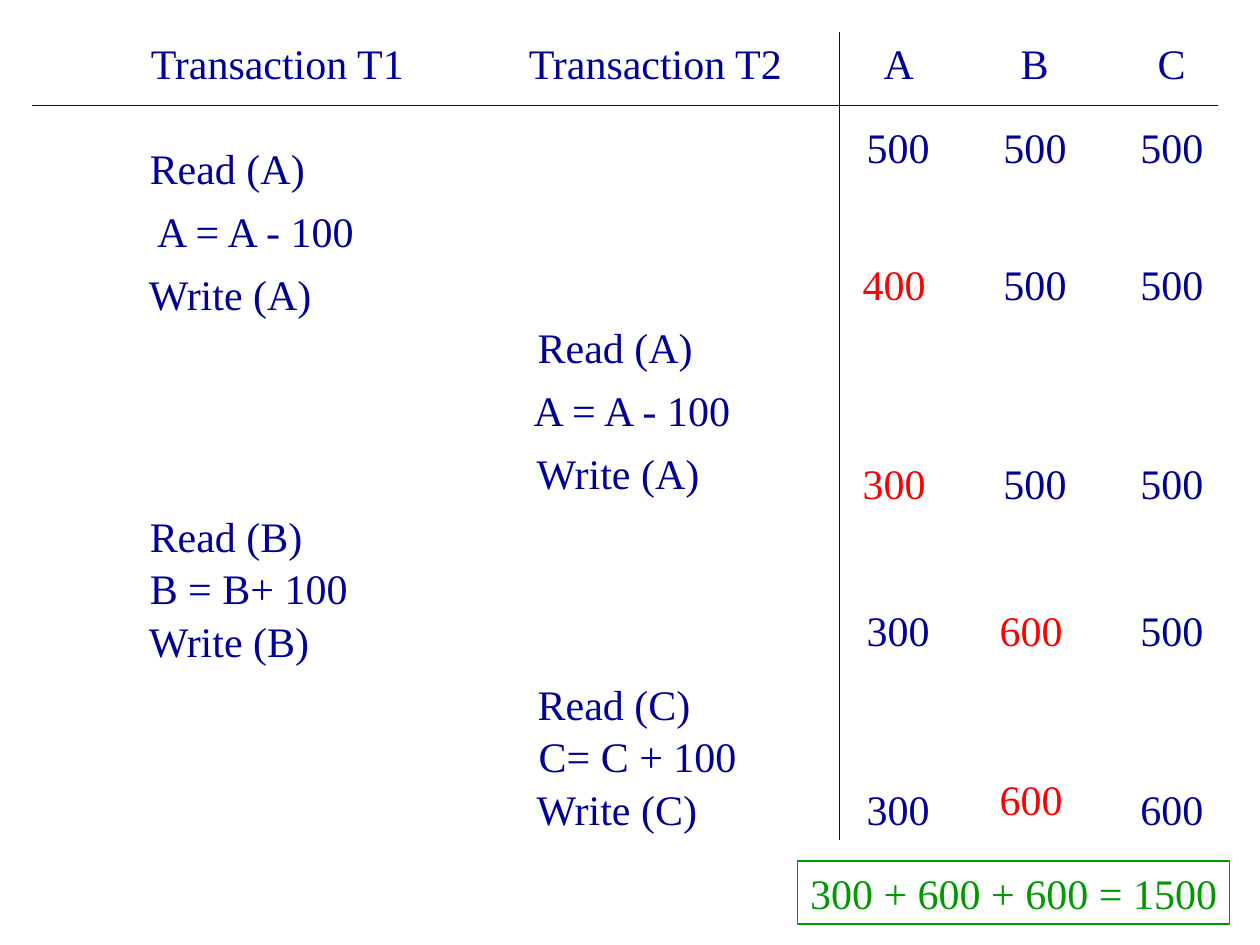
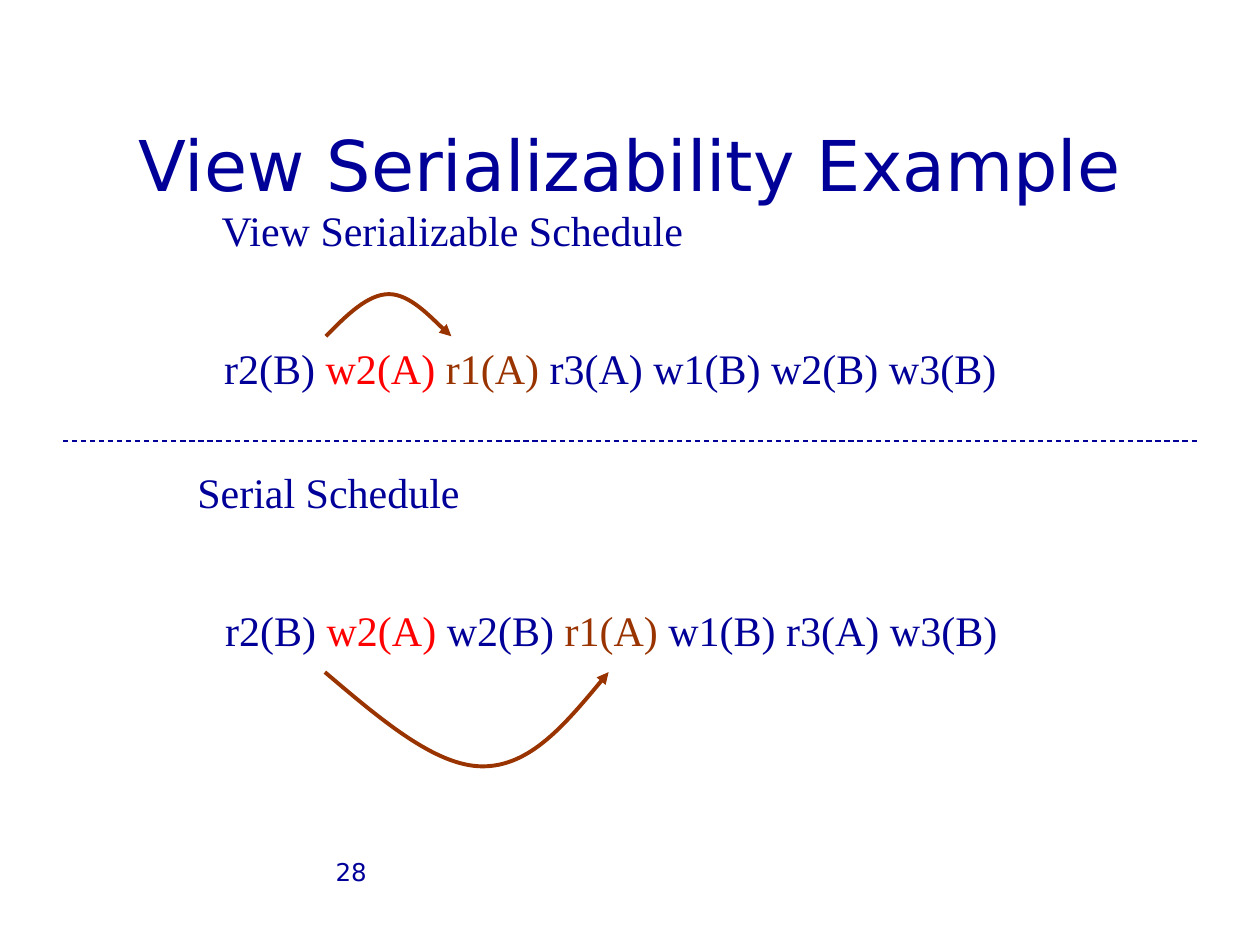
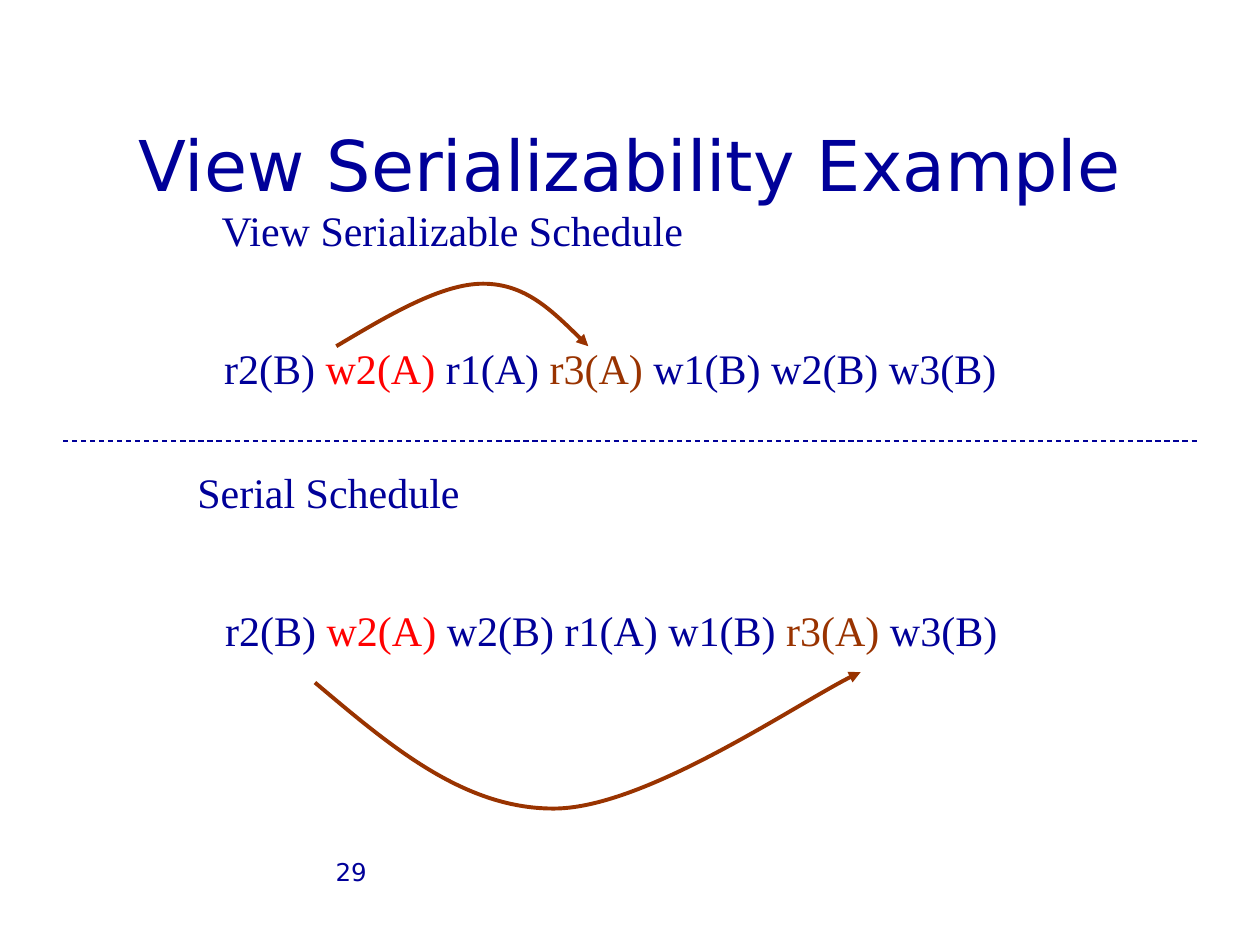
from collections import namedtuple
from pptx import Presentation
from pptx.dml.color import RGBColor
from pptx.enum.dml import MSO_LINE
from pptx.enum.shapes import MSO_CONNECTOR, MSO_SHAPE
from pptx.enum.text import MSO_ANCHOR, MSO_AUTO_SIZE, PP_ALIGN
from pptx.oxml.ns import qn
from pptx.util import Cm, Pt
from lxml.etree import SubElement

Box = namedtuple("Box", "left top width height")

NAVY, RED, BROWN, GREEN = "000099", "FF0000", "993300", "009900"
SERIF, SANS = "Times New Roman", "DejaVu Sans"
LINE_HEIGHT = 1.27
TITLE_BOX = Box(1.9, 1.7, 21.59, 3.18)
NUMBER_BOX = Box(1.9, 17.15, 10.36, LINE_HEIGHT)
VIEW_BOX = Box(4.22, 3.99, 16.13, 4.06)
SERIAL_BOX = Box(3.73, 9.27, 16.84, 7.06)

VIEW_ORDER = "r2(B) w2(A) r1(A) r3(A) w1(B) w2(B) w3(B)"
SERIAL_ORDER = "r2(B) w2(A) w2(B) r1(A) w1(B) r3(A) w3(B)"
WRITER = "w2(A)"

STEP_BLOCKS = [
    (2.77, 2.74, 1.27, "A", "A = A - 100", 0.15),
    (10.59, 6.35, 1.27, "A", "A = A - 100", -0.08),
    (2.77, 10.16, 1.06, "B", "B = B+ 100", 0),
    (10.59, 13.55, 1.06, "C", "C= C + 100", 0.02),
]
STATES = [
    (2.33, (500, 500, 500), None, 0),
    (5.08, (400, 500, 500), 0, 0),
    (9.1, (300, 500, 500), 0, 0),
    (12.07, (300, 600, 500), 1, 0),
    (15.66, (300, 600, 600), 1, 0.2),
]
EXAMPLES = [
    ("28", "r1(A)",
     [(2.35, 2.79), (2.77, 2.36), (3.2, 1.94), (3.62, 1.94),
      (4.04, 1.94), (4.7, 2.64), (4.88, 2.79)],
     [(2.82, 4.28), (3.94, 5.23), (5.05, 6.18), (6, 6.18),
      (6.96, 6.18), (7.75, 5.23), (8.54, 4.28)]),
    ("29", "r3(A)",
     [(2.56, 2.99), (3.62, 2.36), (4.68, 1.73), (5.52, 1.73),
      (6.37, 1.73), (7, 2.36), (7.64, 2.99)],
     [(2.62, 4.49), (4.14, 5.77), (5.64, 7.06), (7.49, 7.03),
      (9.32, 6.99), (12.62, 4.72), (13.62, 4.28)]),
]


def colour(code):
    """Turn a hex string into a colour."""
    return RGBColor.from_string(code)


def lengths(box):
    """Turn a box in centimetres into four lengths."""
    return [Cm(value) for value in box]


def write(shape, text, size=24, font=SERIF, code=NAVY, align=PP_ALIGN.LEFT,
          anchor=MSO_ANCHOR.TOP, wrap=False):
    """Write text, or a list of (text, hex colour) spans, into a shape."""
    frame = shape.text_frame
    frame.word_wrap = wrap
    frame.auto_size = MSO_AUTO_SIZE.NONE
    frame.vertical_anchor = anchor
    para = frame.paragraphs[0]
    para.alignment = align
    for words, span_code in [(text, code)] if isinstance(text, str) else text:
        span = para.add_run()
        span.text = words
        span.font.size = Pt(size)
        span.font.name = font
        span.font.color.rgb = colour(span_code)


def add_text(page, box, text, **style):
    """Add a text box with formatted text."""
    write(page.shapes.add_textbox(*lengths(box)), text, **style)


def add_rule(page, start, end, dash=None):
    """Add a thin straight line between two points."""
    rule = page.shapes.add_connector(MSO_CONNECTOR.STRAIGHT, *lengths(start + end))
    rule.line.color.rgb = colour(NAVY)
    rule.line.width = Pt(0.75)
    if dash:
        rule.line.dash_style = dash
    SubElement(rule.element.spPr, qn("a:effectLst"))


def add_curved_arrow(page, box, points):
    """Add an arrow of cubic curves through points relative to the box."""
    placed = [(Cm(box.left + x), Cm(box.top + y)) for x, y in points]
    builder = page.shapes.build_freeform(*placed[0])
    builder.add_line_segments(placed[1:], close=False)
    arrow = builder.convert_to_shape()
    arrow.shadow.inherit = False
    arrow.fill.background()
    arrow.line.color.rgb = colour(BROWN)
    arrow.line.width = Pt(2.25)
    SubElement(arrow.element.spPr.find(qn("a:ln")), qn("a:tailEnd"), type="triangle")
    outline = next(arrow.element.iter(qn("a:path")))
    segments = outline.findall(qn("a:lnTo"))
    for first in range(0, len(segments), 3):
        curve = SubElement(outline, qn("a:cubicBezTo"))
        for segment in segments[first:first + 3]:
            curve.append(segment[0])
            outline.remove(segment)


def add_steps(page, box, pitch, item, sum_text, sum_shift):
    """Stack the read, compute and write steps of one transaction."""
    steps = [(f"Read ({item})", 0, 3.63), (sum_text, sum_shift, 4.55),
             (f"Write ({item})", -0.02, 3.9)]
    for row, (text, shift, width) in enumerate(steps):
        add_text(page, Box(box.left + shift, box.top + row * pitch, width, LINE_HEIGHT), text)


def add_states(page, box):
    """Lay out the item names and their values in equal columns."""
    pitch, value_width, name_width = 2.76, 1.78, 1.09
    for column, name in enumerate("ABC"):
        left = box.left + column * pitch
        inset = (value_width - name_width) / 2
        add_text(page, Box(left + inset, box.top, name_width, LINE_HEIGHT), name)
        for top, values, changed, lift in STATES:
            fresh = column == changed
            place = Box(left - 0.08 * fresh, top - lift * fresh, value_width, LINE_HEIGHT)
            add_text(page, place, str(values[column]), code=RED if fresh else NAVY)


def add_total(page, box, text):
    """Add the outlined total."""
    total = page.shapes.add_shape(MSO_SHAPE.RECTANGLE, *lengths(box))
    total.shadow.inherit = False
    total.fill.background()
    total.line.color.rgb = colour(GREEN)
    total.line.width = Pt(0.75)
    write(total, text, code=GREEN)


def build_trace(deck):
    """Build the slide that traces two transactions step by step."""
    page = deck.slides.add_slide(deck.slide_layouts[6])
    for left, name in [(2.79, "Transaction T1"), (10.41, "Transaction T2")]:
        add_text(page, Box(left, 0.64, 5.64, LINE_HEIGHT), name)
    for left, top, *steps in STEP_BLOCKS:
        add_steps(page, Box(left, top, 4.55, 3.81), *steps)
    add_rule(page, (0.64, 2.12), (24.56, 2.12))
    add_rule(page, (16.93, 0.64), (16.93, 16.93))
    add_states(page, Box(17.22, 0.64, 7.3, 16.3))
    add_total(page, Box(16.08, 17.36, 8.71, LINE_HEIGHT), "300 + 600 + 600 = 1500")


def add_schedule(page, box, heading, heading_width, order, indent, reader, points):
    """Add a heading, its coloured operations and the arrow between two of them."""
    add_text(page, Box(box.left, box.top, heading_width, LINE_HEIGHT), heading)
    codes = {WRITER: RED, reader: BROWN}
    names = order.split()
    spans = [(name if name == names[-1] else name + " ", codes.get(name, NAVY))
             for name in names]
    add_text(page, Box(box.left + indent, box.top + 2.79, box.width, LINE_HEIGHT), spans)
    add_curved_arrow(page, box, points)


def build_example(deck, number, reader, view_points, serial_points):
    """Build a slide that compares a schedule with its serial order."""
    page = deck.slides.add_slide(deck.slide_layouts[5])
    title = page.shapes.title
    title.left, title.top, title.width, title.height = lengths(TITLE_BOX)
    write(title, "View Serializability Example", size=40, font=SANS,
          align=PP_ALIGN.CENTER, anchor=MSO_ANCHOR.MIDDLE, wrap=True)
    add_text(page, NUMBER_BOX, number, size=14, font=SANS, align=PP_ALIGN.CENTER, wrap=True)
    add_schedule(page, VIEW_BOX, "View Serializable Schedule", 9.86,
                 VIEW_ORDER, 0.05, reader, view_points)
    add_rule(page, (1.27, 8.89), (24.13, 8.89), dash=MSO_LINE.DASH)
    add_schedule(page, SERIAL_BOX, "Serial Schedule", 5.79,
                 SERIAL_ORDER, 0.56, reader, serial_points)


def main():
    """Build and save the deck."""
    deck = Presentation()
    deck.slide_width, deck.slide_height = Cm(25.4), Cm(19.05)
    build_trace(deck)
    for example in EXAMPLES:
        build_example(deck, *example)
    deck.save("out.pptx")


if __name__ == "__main__":
    main()
